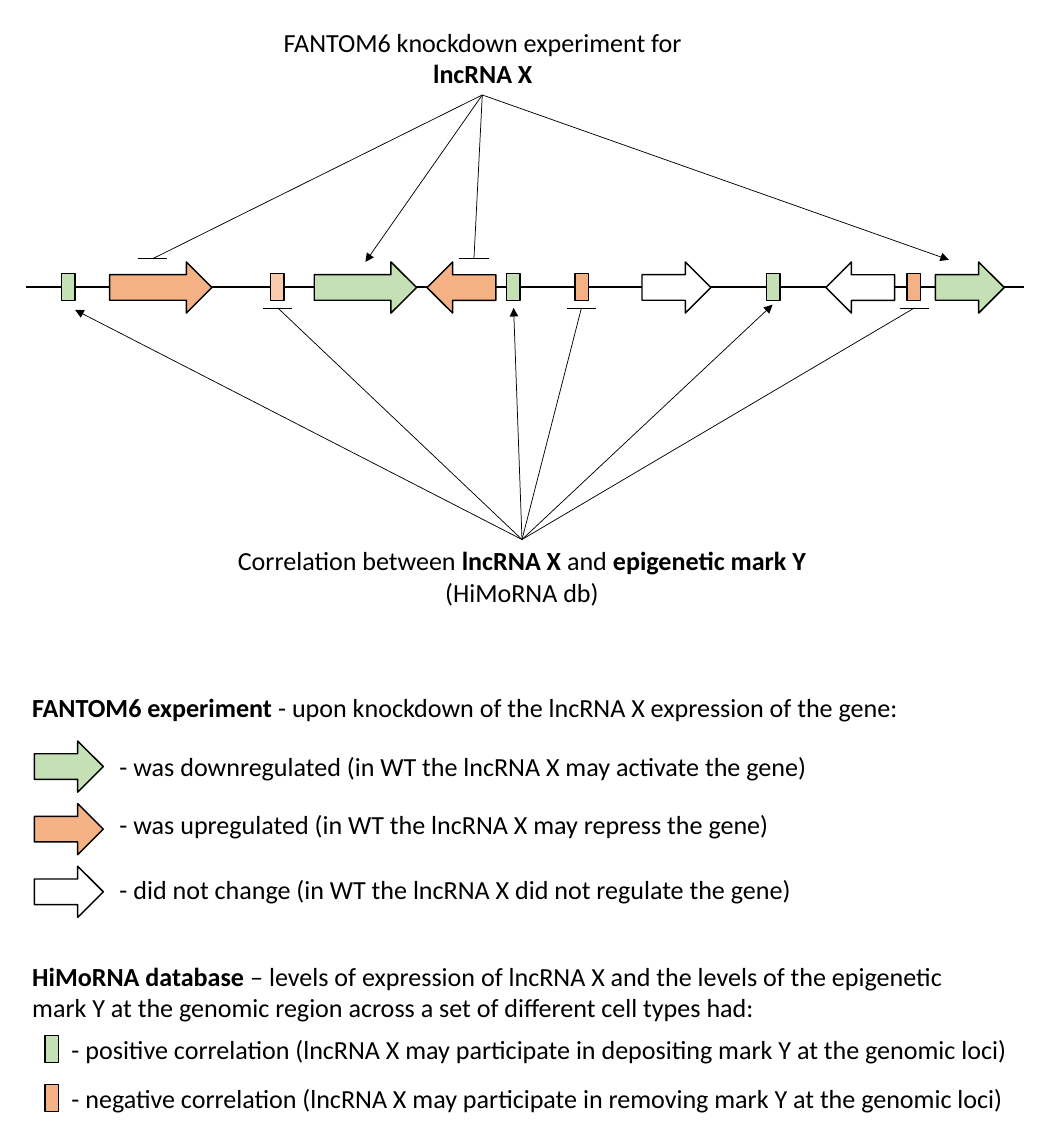
from dataclasses import dataclass

from pptx import Presentation
from pptx import util as u
from pptx.dml.color import RGBColor
from pptx.enum import shapes, text
from pptx.oxml.ns import qn
from lxml import etree


@dataclass
class Theme:
    black: str = "000000"
    white: str = "FFFFFF"
    green: str = "C5E0B4"
    orange: str = "F4B183"
    pale: str = "F8CBAD"
    font: str = "Calibri"
    size: int = 18
    edge: float = 1
    thin: float = 0.5
    thick: float = 1.5


class Board:
    def __init__(self, slide, theme):
        self.slide, self.theme = slide, theme

    def shape(self, kind, left, top, width, height, fill, turn=0):
        item = self.slide.shapes.add_shape(
            kind, *map(u.Inches, (left, top, width, height)))
        item.rotation = turn
        item.shadow.inherit = False
        item.fill.solid()
        item.fill.fore_color.rgb = RGBColor.from_string(fill)
        item.line.color.rgb = RGBColor.from_string(self.theme.black)
        item.line.width = u.Pt(self.theme.edge)

    def gene(self, left, top, fill, width=0.66, turn=0):
        self.shape(shapes.MSO_SHAPE.RIGHT_ARROW, left, top, width, 0.49, fill, turn)

    def mark(self, left, top, fill):
        self.shape(shapes.MSO_SHAPE.RECTANGLE, left, top, 0.13, 0.26, fill)

    def line(self, start, end, width=None, arrow=False):
        item = self.slide.shapes.add_connector(
            shapes.MSO_CONNECTOR.STRAIGHT, *map(u.Inches, (*start, *end)))
        item.line.color.rgb = RGBColor.from_string(self.theme.black)
        item.line.width = u.Pt(width or self.theme.thin)
        props = item._element.spPr
        if arrow:
            etree.SubElement(props.find(qn("a:ln")), qn("a:tailEnd"), type="triangle")
        etree.SubElement(props, qn("a:effectLst"))

    def block(self, start, end):
        """Line that ends in a flat bar, the sign for repression."""
        x, y = end
        self.line(start, end)
        self.line((x - 0.14, y), (x + 0.14, y))

    def label(self, left, top, width, rows, center=False):
        """Each row is a list of (words, bold) runs."""
        box = self.slide.shapes.add_textbox(
            *map(u.Inches, (left, top, width, 0.4 if len(rows) == 1 else 0.71)))
        frame = box.text_frame
        frame.word_wrap = True
        frame.auto_size = text.MSO_AUTO_SIZE.SHAPE_TO_FIT_TEXT
        for i, row in enumerate(rows):
            para = frame.add_paragraph() if i else frame.paragraphs[0]
            para.alignment = text.PP_ALIGN.CENTER if center else text.PP_ALIGN.LEFT
            for words, bold in row:
                run = para.add_run()
                run.text = words
                run.font.name = self.theme.font
                run.font.size = u.Pt(self.theme.size)
                run.font.bold = bold
                run.font.color.rgb = RGBColor.from_string(self.theme.black)


deck = Presentation()
deck.slide_width, deck.slide_height = u.Inches(10), u.Inches(11)
look = Theme()
board = Board(deck.slides.add_slide(deck.slide_layouts[6]), look)

# Genome axis with genes and marks
board.line((0.25, 2.75), (9.81, 2.75), look.thick)
for left, fill, width, turn in [
        (1.05, look.orange, 0.98, 0), (3.01, look.green, 0.98, 0),
        (4.09, look.orange, 0.66, 180), (6.15, look.white, 0.66, 0),
        (7.91, look.white, 0.66, 180), (8.96, look.green, 0.66, 0)]:
    board.gene(left, 2.51, fill, width, turn)
for left, fill in [(0.59, look.green), (2.59, look.pale), (4.85, look.green),
                   (5.51, look.orange), (7.34, look.green), (8.69, look.orange)]:
    board.mark(left, 2.62, fill)

# Sources of evidence above and below the axis
board.label(2.11, 0.2, 5.03, [
    [("FANTOM6 knockdown experiment for", False)],
    [("lncRNA X", True)]], center=True)
board.label(1.86, 5.17, 6.28, [
    [("Correlation between ", False), ("lncRNA X", True),
     (" and ", False), ("epigenetic mark Y", True)],
    [("(HiMoRNA db)", False)]], center=True)

# Effects on genes and marks
knock, corr = (4.62, 0.91), (5, 5.17)
for start, ends in [(knock, [(3.5, 2.51), (9.09, 2.49)]),
                    (corr, [(0.72, 2.97), (4.92, 2.95), (7.4, 2.92)])]:
    for end in ends:
        board.line(start, end, arrow=True)
for start, y, stops in [(knock, 2.48, [1.46, 4.54]),
                        (corr, 2.95, [2.66, 5.57, 8.76])]:
    for x in stops:
        board.block(start, (x, y))

# Legend for genes
board.label(0.21, 6.58, 9.28, [[
    ("FANTOM6 experiment", True),
    (" - upon knockdown of the lncRNA X expression of the gene:", False)]])
for i, (fill, top, words) in enumerate([
        (look.green, 7.14, "was downregulated (in WT the lncRNA X may activate the gene)"),
        (look.orange, 7.7, "was upregulated (in WT the lncRNA X may repress the gene)"),
        (look.white, 8.32, "did not change (in WT the lncRNA X did not regulate the gene)")]):
    board.gene(0.33, 7.1 + 0.6 * i, fill)
    board.label(0.99, top, 8.3, [[(" - " + words, False)]])

# Legend for marks
board.label(0.21, 9.15, 9.28, [[
    ("HiMoRNA database", True),
    (" – levels of expression of lncRNA X and the levels of the epigenetic mark Y "
     "at the genomic region across a set of different cell types had:", False)]])
for i, (fill, sign, act) in enumerate([(look.green, "positive", "depositing"),
                                       (look.orange, "negative", "removing")]):
    top = 9.85 + 0.47 * i
    board.mark(0.43, top + 0.07, fill)
    board.label(0.53, top, 9.28, [[
        (f" - {sign} correlation (lncRNA X may participate in {act} "
         "mark Y at the genomic loci)", False)]])

deck.save("out.pptx")
